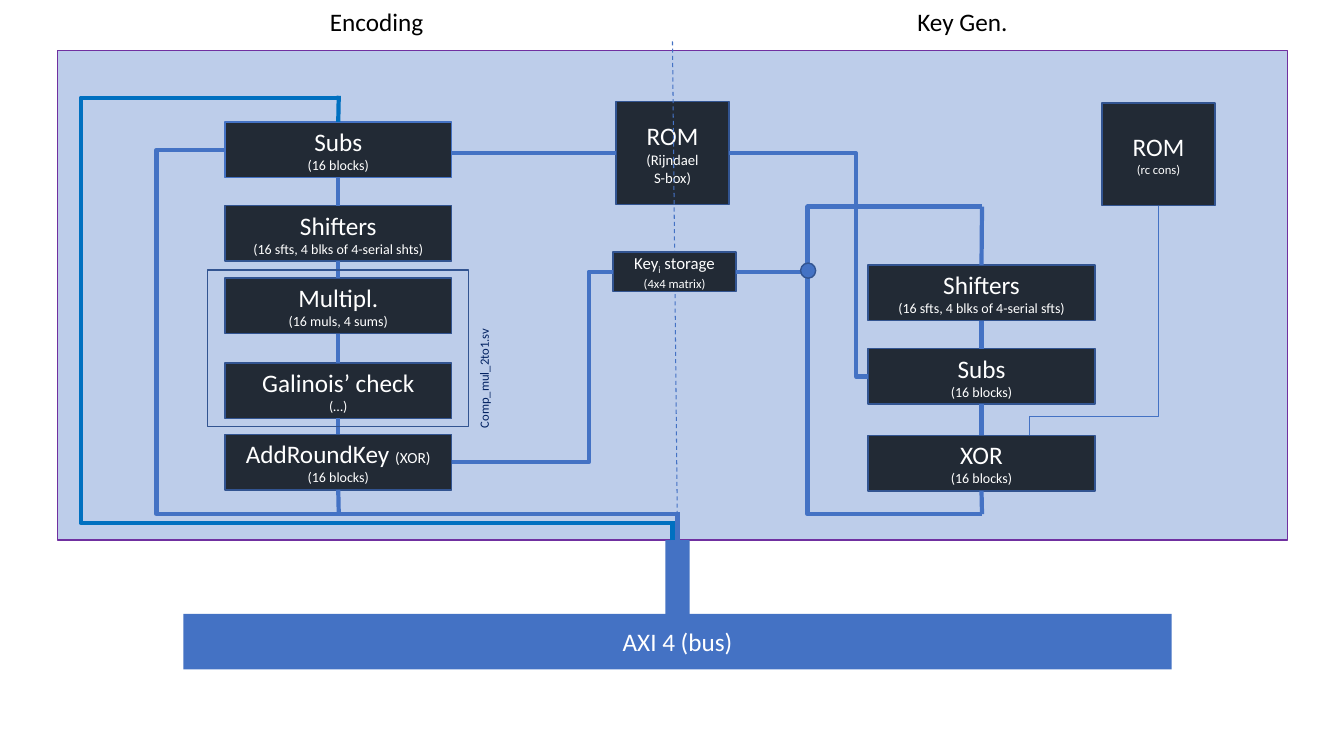
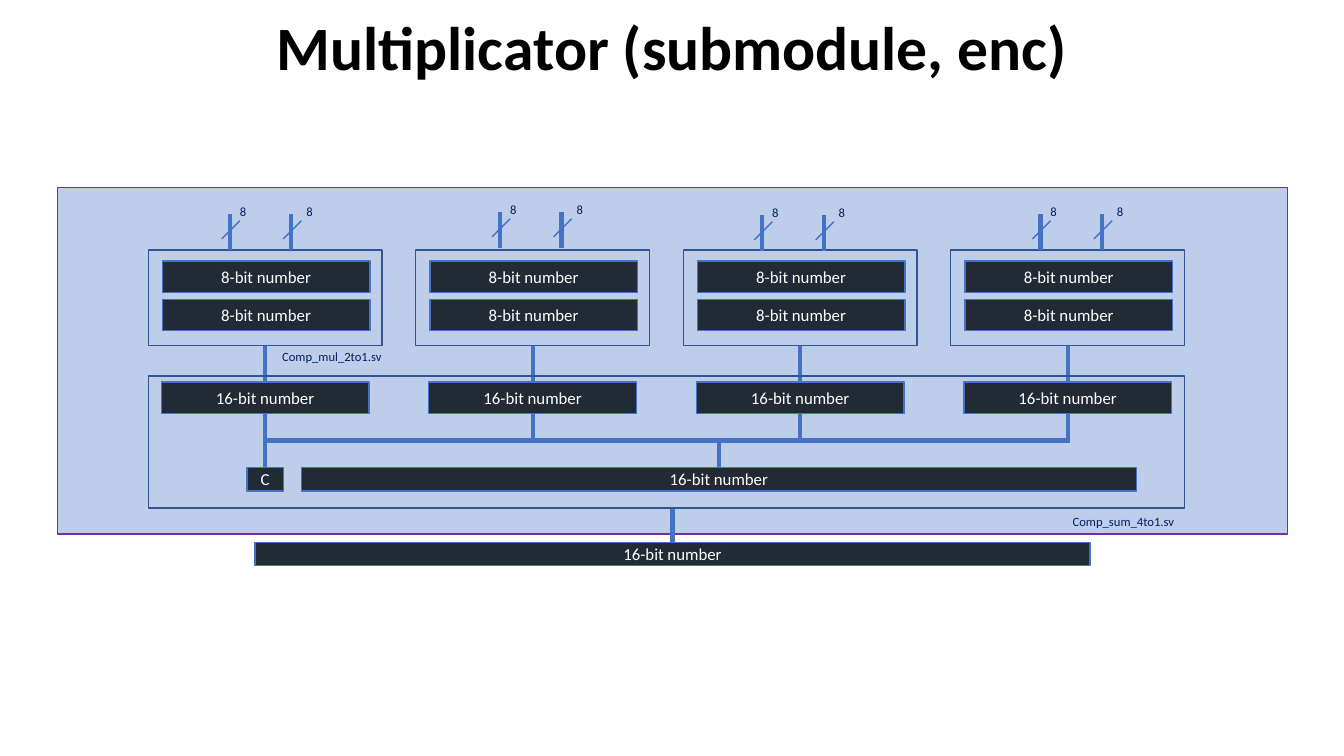
from lxml import etree
from pptx import Presentation
from pptx.dml.color import RGBColor
from pptx.enum.dml import MSO_LINE
from pptx.enum.shapes import MSO_CONNECTOR as Connector, MSO_SHAPE as Shape
from pptx.enum.text import MSO_ANCHOR as Anchor, PP_ALIGN as Align
from pptx.oxml.ns import qn
from pptx.util import Inches, Pt

COLORS = {
    "blue": "4472C4", "border": "325491", "dark": "222A35", "violet": "7030A0",
    "loop": "0070C0", "label": "002060", "white": "FFFFFF", "black": "000000",
}
FONT = "Calibri"
TOP, LEFT, BOTTOM, RIGHT = range(4)


def add_box(slide, bounds, fill=None, line=None, lines=(), color="white",
            kind=Shape.RECTANGLE, align=Align.CENTER, anchor=Anchor.MIDDLE):
    """Add a shape, or a text box if kind is None; lines holds (text, size) pairs."""
    frame = [Inches(value) for value in bounds]
    if kind is None:
        shape = slide.shapes.add_textbox(*frame)
    else:
        shape = slide.shapes.add_shape(kind, *frame)
        shape.shadow.inherit = False
    if fill:
        shape.fill.solid()
        shape.fill.fore_color.rgb = RGBColor.from_string(COLORS[fill])
    else:
        shape.fill.background()
    if line:
        shape.line.color.rgb = RGBColor.from_string(COLORS[line])
        shape.line.width = Pt(1)
    else:
        shape.line.fill.background()
    text_frame = shape.text_frame
    text_frame.word_wrap = True
    text_frame.vertical_anchor = anchor
    for index, (text, size) in enumerate(lines):
        paragraph = text_frame.add_paragraph() if index else text_frame.paragraphs[0]
        paragraph.text = text
        paragraph.alignment = align
        font = paragraph.runs[0].font
        font.name, font.size = FONT, Pt(size)
        font.color.rgb = RGBColor.from_string(COLORS[color])
    return shape


def add_wire(slide, start, end, color="blue", width=3, turn=None):
    """Join two ends, each (x, y) or (shape, side); turn is the x of an elbow's upright."""
    kind = Connector.STRAIGHT if turn is None else Connector.ELBOW
    wire = slide.shapes.add_connector(kind, 0, 0, 0, 0)
    if hasattr(start[0], "shape_id"):
        wire.begin_connect(*start)
    else:
        wire.begin_x, wire.begin_y = Inches(start[0]), Inches(start[1])
    if hasattr(end[0], "shape_id"):
        wire.end_connect(*end)
    else:
        wire.end_x, wire.end_y = Inches(end[0]), Inches(end[1])
    wire.line.color.rgb = RGBColor.from_string(COLORS[color])
    wire.line.width = Pt(width)
    properties = wire._element.spPr
    etree.SubElement(properties, qn("a:effectLst"))
    if turn is not None:
        ratio = (Inches(turn) - wire.begin_x) / (wire.end_x - wire.begin_x)
        geometry = properties.find(qn("a:prstGeom"))
        adjustments = geometry.find(qn("a:avLst"))
        if adjustments is None:
            adjustments = etree.SubElement(geometry, qn("a:avLst"))
        etree.SubElement(adjustments, qn("a:gd"), name="adj1",
                         fmla=f"val {round(ratio * 100000)}")
    return wire


presentation = Presentation()
presentation.slide_width, presentation.slide_height = Inches(13.33), Inches(7.5)

# Both slides: translucent panel
slides = []
for top, height in ((0.5, 4.86), (1.86, 3.44)):
    slide = presentation.slides.add_slide(presentation.slide_layouts[6])
    panel = add_box(slide, (0.57, top, 12.2, height), "blue", "violet")
    panel_color = panel._element.spPr.find(qn("a:solidFill"))[0]
    etree.SubElement(panel_color, qn("a:alpha"), val="35000")
    slides.append(slide)
overview, multiplicator = slides

# Overview: bus and headings
add_box(overview, (1.82, 6.09, 9.8, 0.55), "blue", lines=[("AXI 4 (bus)", 18)])
add_box(overview, (6.6, 5.36, 0.24, 0.74), "blue")
for left, heading in ((2.53, "Encoding"), (8.34, "Key Gen.")):
    add_box(overview, (left, 0.01, 2.41, 0.4), lines=[(heading, 18)],
            color="black", kind=None, anchor=Anchor.TOP)

# Overview: memories and the divider between the halves
sbox_rom = add_box(overview, (6.11, 1.01, 1.12, 1.02), "dark", "border",
                   [("ROM", 18), ("(Rijndael", 10.5), ("S-box)", 10.5)])
divider = add_wire(overview, (6.67, 0.41), (6.72, 5.36), width=0.75)
divider.line.dash_style = MSO_LINE.DASH
constants_rom = add_box(overview, (10.93, 1.02, 1.12, 1.02), "dark", "border",
                        [("ROM", 18), ("(rc cons)", 9)])
key_storage = add_box(overview, (6.08, 2.5, 1.22, 0.39), "dark", "border",
                      [("Key", 12), ("(4x4 matrix)", 9)])

# Overview: the two columns of stages, each joined to the one below
columns = [
    (2.23, [(1.21, "Subs", "(16 blocks)"),
            (2.04, "Shifters", "(16 sfts, 4 blks of 4-serial shts)"),
            (2.76, "Multipl.", "(16 muls, 4 sums)"),
            (3.6, "Galinois’ check", "(…)"),
            (4.31, "AddRoundKey ", "(16 blocks)")]),
    (8.61, [(2.63, "Shifters", "(16 sfts, 4 blks of 4-serial sfts)"),
            (3.46, "Subs", "(16 blocks)"),
            (4.32, "XOR", "(16 blocks)")]),
]
stages = []
for left, column in columns:
    blocks = [add_box(overview, (left, top, 2.25, 0.55), "dark", "border",
                      [(name, 18), (detail, 10)]) for top, name, detail in column]
    for upper, lower in zip(blocks, blocks[1:]):
        add_wire(overview, (upper, BOTTOM), (lower, TOP))
    stages.append(blocks)
encoding, key_generation = stages
encoding[0].line.color.rgb = RGBColor.from_string(COLORS["blue"])

# Overview: smaller and lowered words within a line
for block, text, size, baseline in ((encoding[-1], "(XOR)", 11, 0),
                                    (key_storage, "i", 12, -25000),
                                    (key_storage, " storage", 12, 0)):
    run = block.text_frame.paragraphs[0].add_run()
    run.text = text
    run.font.name, run.font.size = FONT, Pt(size)
    run.font.color.rgb = RGBColor.from_string(COLORS["white"])
    if baseline:
        run._r.get_or_add_rPr().set("baseline", str(baseline))

# Overview: wires of the key generation
add_wire(overview, (key_storage, RIGHT), (9.74, 5.1), turn=8.01)
add_wire(overview, (key_generation[-1], BOTTOM), (9.74, 5.1))
add_wire(overview, (8.01, 2.7), (9.74, 2.05), turn=8.01)
add_wire(overview, (9.74, 2.05), (key_generation[0], TOP))
add_wire(overview, (sbox_rom, RIGHT), (key_generation[1], LEFT), turn=8.49)
add_wire(overview, (constants_rom, BOTTOM), (10.21, 4.13), width=0.5, turn=11.49)
add_wire(overview, (10.21, 4.13), (10.21, 4.32), width=0.5)
add_box(overview, (7.94, 2.61, 0.15, 0.15), "blue", "border", kind=Shape.OVAL)

# Overview: wires of the encoding
add_wire(overview, (sbox_rom, LEFT), (4.47, 1.52))
add_wire(overview, (key_storage, LEFT), (encoding[-1], RIGHT), turn=5.84)
add_wire(overview, (encoding[-1], BOTTOM), (3.36, 5.1))
add_wire(overview, (encoding[0], LEFT), (6.72, 5.1), turn=1.55)
add_wire(overview, (6.72, 5.08), (6.72, 5.36))
add_wire(overview, (6.67, 5.36), (6.67, 5.17), "loop")
add_wire(overview, (6.67, 5.19), (3.36, 0.97), "loop", turn=0.8)
add_wire(overview, (3.36, 0.95), (encoding[0], TOP), "loop")

# Overview: frame of the multiplication module
add_box(overview, (2.06, 2.68, 2.59, 1.55), line="border")
module_label = add_box(overview, (4.15, 3.57, 1.3, 0.25), lines=[("Comp_mul_2to1.sv", 9)],
                       color="label", kind=None, align=Align.LEFT, anchor=Anchor.TOP)
module_label.rotation = 270

# Multiplicator: title
title = add_box(multiplicator, (0.92, 0.11, 11.5, 0.78), color="black", kind=None,
                lines=[("Multiplicator (submodule, enc)", 44)])
title_paragraph = title.text_frame.paragraphs[0]
title_paragraph.line_spacing = 0.9
title_paragraph.runs[0].font.bold = True

# Multiplicator: four products running into one rail
frame_left, frame_width, product_width = 1.47, 10.28, 2.32
pitch = (frame_width - product_width) / 3
rail = 4.37
for index in range(4):
    left = frame_left + index * pitch
    center = left + product_width / 2
    product = add_box(multiplicator, (left, 2.48, product_width, 0.95), line="border")
    for top in (2.59, 2.97):
        add_box(multiplicator, (left + 0.14, top, 2.06, 0.31), "dark", "blue",
                [("8-bit number", 12)])
    result = add_box(multiplicator, (left + 0.13, 3.79, 2.06, 0.31), "dark", "blue",
                     [("16-bit number", 12)])
    add_wire(multiplicator, (product, BOTTOM), (result, TOP))
    add_wire(multiplicator, (result, BOTTOM), (center, rail))
add_wire(multiplicator, (frame_left + product_width / 2, rail), (center + 0.02, rail))

# Multiplicator: 8-bit inputs, two for each product
for left, top in ((2.28, 2.12), (4.96, 2.1), (7.56, 2.13), (10.32, 2.12)):
    for offset, label_shift in ((0, 0), (0.61, 0.05)):
        x = left + offset
        add_wire(multiplicator, (x, top + 0.36), (x, top))
        add_wire(multiplicator, (x - 0.08, top + 0.25), (x + 0.1, top + 0.07), width=1)
        add_box(multiplicator, (x + label_shift, top - 0.15, 0.25, 0.25), lines=[("8", 9)],
                color="label", kind=None, align=Align.LEFT, anchor=Anchor.TOP)

# Multiplicator: carry, sum and output
add_box(multiplicator, (frame_left, 3.73, frame_width, 1.31), line="border")
carry = add_box(multiplicator, (2.45, 4.64, 0.36, 0.23), "dark", "blue", [("C", 12)])
total = add_box(multiplicator, (2.99, 4.64, 8.28, 0.23), "dark", "blue",
                [("16-bit number", 12)])
output = add_box(multiplicator, (2.53, 5.38, 8.28, 0.23), "dark", "blue",
                 [("16-bit number", 12)])
for x, top, block in ((2.63, rail, carry), (7.13, rail, total), (6.67, 5.05, output)):
    add_wire(multiplicator, (x, top), (block, TOP))
for left, top, name in ((2.7, 3.41, "Comp_mul_2to1.sv"), (10.54, 5.05, "Comp_sum_4to1.sv")):
    add_box(multiplicator, (left, top, 1.3, 0.25), lines=[(name, 9)], color="label",
            kind=None, align=Align.LEFT, anchor=Anchor.TOP)

presentation.save("out.pptx")
